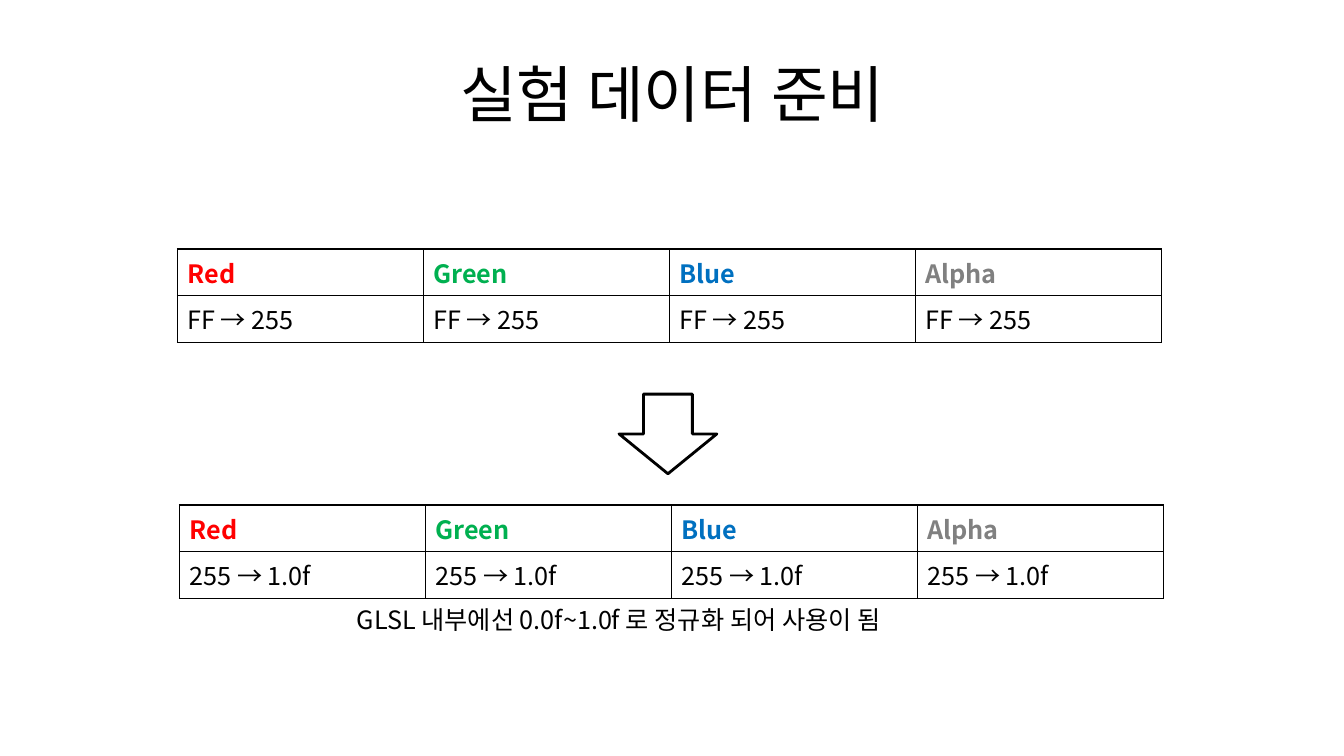
"""Build a slide on normalising colour channel values for GLSL."""
from lxml.etree import SubElement
from pptx import Presentation
from pptx.dml.color import RGBColor
from pptx.enum.shapes import MSO_SHAPE
from pptx.enum.text import MSO_ANCHOR, MSO_AUTO_SIZE, PP_ALIGN
from pptx.oxml.ns import qn
from pptx.util import Inches, Pt

FONT = "Noto Sans CJK KR"
BLACK = RGBColor(0x00, 0x00, 0x00)
WHITE = RGBColor(0xFF, 0xFF, 0xFF)
RED = RGBColor(0xFF, 0x00, 0x00)
GREEN = RGBColor(0x00, 0xB0, 0x50)
BLUE = RGBColor(0x00, 0x70, 0xC0)
GRAY = RGBColor(0x80, 0x80, 0x80)
CHANNELS = [("Red", RED), ("Green", GREEN), ("Blue", BLUE), ("Alpha", GRAY)]
COLUMN_WIDTH = 2.44
ROW_HEIGHT = 0.41


def add_span(para, text, size=18, color=BLACK, bold=False):
    span = para.add_run()
    span.text = text
    font = span.font
    font.name, font.size, font.bold = FONT, Pt(size), bold
    font.color.rgb = color
    SubElement(span._r.get_or_add_rPr(), qn("a:ea"), typeface=FONT)


def add_title(page, text):
    title = page.shapes.title
    title.left, title.top = Inches(0.67), Inches(0.3)
    title.width, title.height = Inches(12), Inches(1.25)
    title.text_frame.vertical_anchor = MSO_ANCHOR.MIDDLE
    para = title.text_frame.paragraphs[0]
    para.alignment = PP_ALIGN.CENTER
    add_span(para, text, size=44)


def add_borders(cell):
    properties = cell._tc.get_or_add_tcPr()
    for position, side in enumerate(("lnL", "lnR", "lnT", "lnB")):
        line = SubElement(properties, qn(f"a:{side}"), w=str(Pt(1)))
        fill = SubElement(line, qn("a:solidFill"))
        SubElement(fill, qn("a:srgbClr"), val=str(BLACK))
        properties.insert(position, line)


def add_channel_table(page, left, top, value):
    count = len(CHANNELS)
    frame = page.shapes.add_table(
        2, count, Inches(left), Inches(top),
        Inches(COLUMN_WIDTH * count), Inches(ROW_HEIGHT * 2))
    table = frame.table
    table.first_row = table.horz_banding = False
    for row in table.rows:
        row.height = Inches(ROW_HEIGHT)
    for index, (channel, color) in enumerate(CHANNELS):
        table.columns[index].width = Inches(COLUMN_WIDTH)
        header, body = table.cell(0, index), table.cell(1, index)
        add_span(header.text_frame.paragraphs[0], channel, color=color, bold=True)
        add_span(body.text_frame.paragraphs[0], value)
        for cell in (header, body):
            cell.fill.background()
            add_borders(cell)


def add_down_arrow(page, left, top, width, height):
    arrow = page.shapes.add_shape(
        MSO_SHAPE.DOWN_ARROW, Inches(left), Inches(top), Inches(width), Inches(height))
    arrow.shadow.inherit = False
    arrow.fill.solid()
    arrow.fill.fore_color.rgb = WHITE
    arrow.line.color.rgb = BLACK
    arrow.line.width = Pt(2)


def add_caption(page, left, top, width, height, text):
    box = page.shapes.add_textbox(Inches(left), Inches(top), Inches(width), Inches(height))
    box.text_frame.word_wrap = True
    box.text_frame.auto_size = MSO_AUTO_SIZE.SHAPE_TO_FIT_TEXT
    add_span(box.text_frame.paragraphs[0], text)


def main():
    deck = Presentation()
    deck.slide_width, deck.slide_height = Inches(13.33), Inches(7.5)
    page = deck.slides.add_slide(deck.slide_layouts[5])
    add_title(page, "실험 데이터 준비")
    add_channel_table(page, 1.76, 2.47, "FF → 255")
    add_down_arrow(page, 6.14, 3.91, 0.97, 0.79)
    add_channel_table(page, 1.78, 5.01, "255 → 1.0f")
    add_caption(page, 3.44, 5.95, 6.61, 0.4,
                "GLSL 내부에선 0.0f~1.0f 로 정규화 되어 사용이 됨")
    deck.save("out.pptx")


main()
